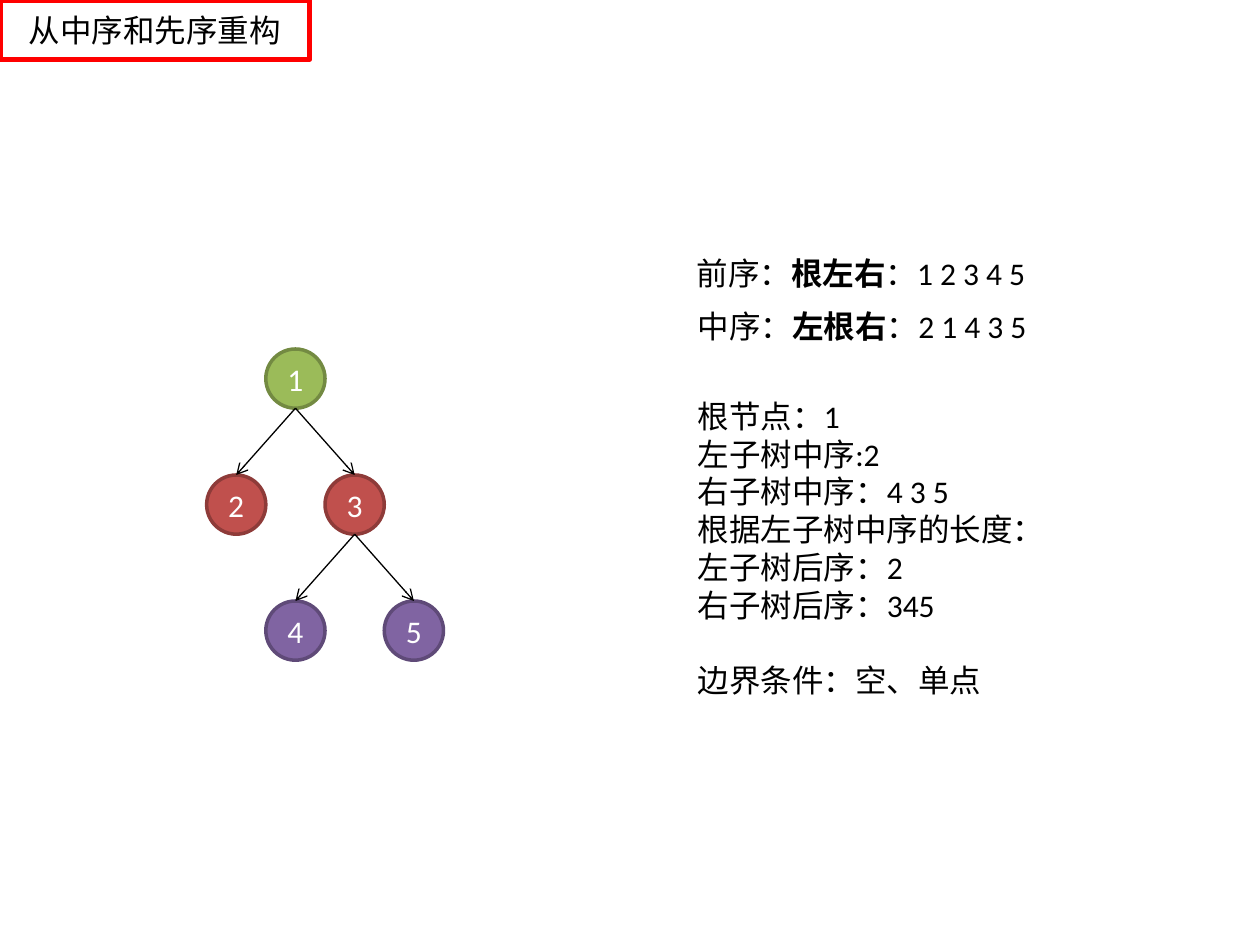
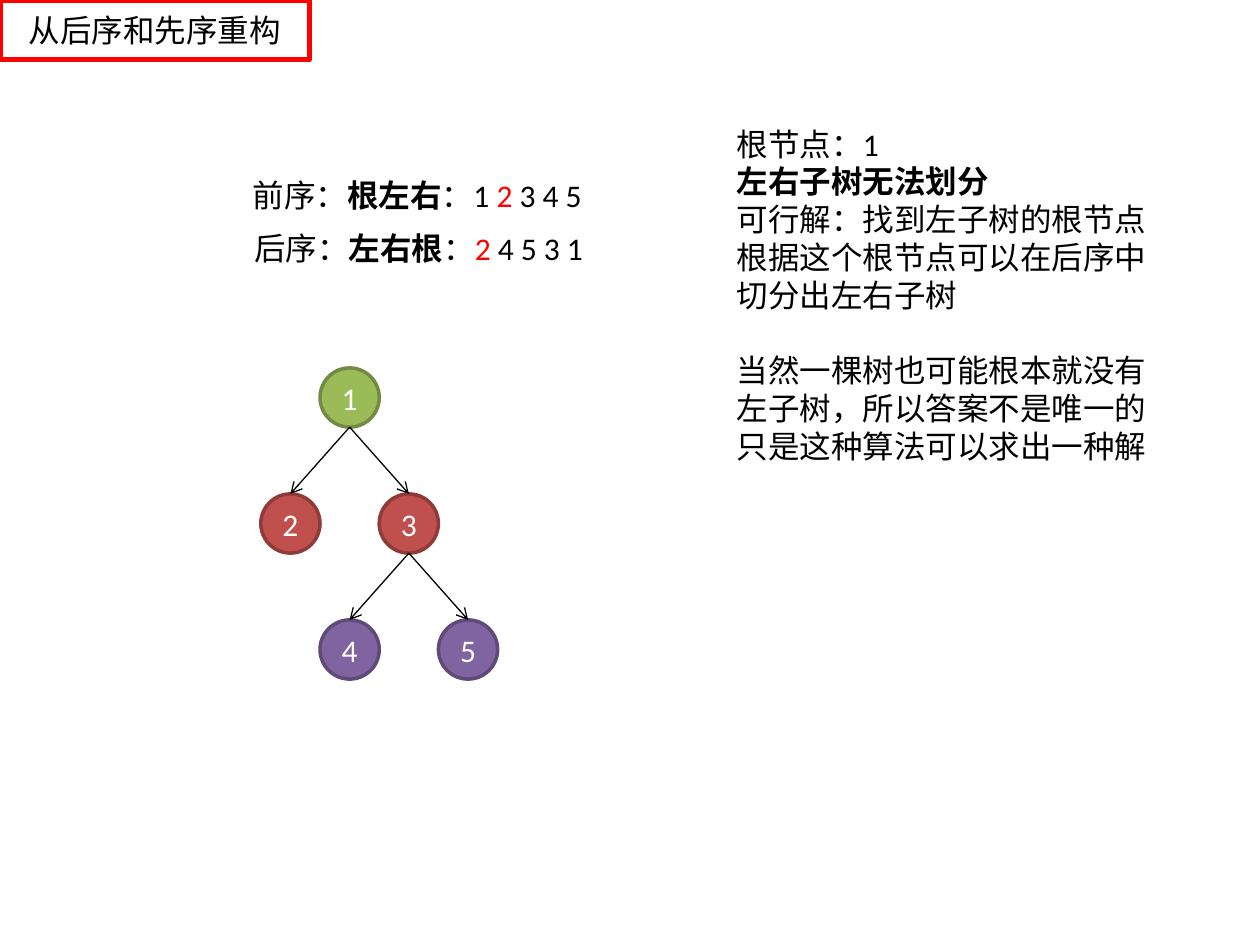
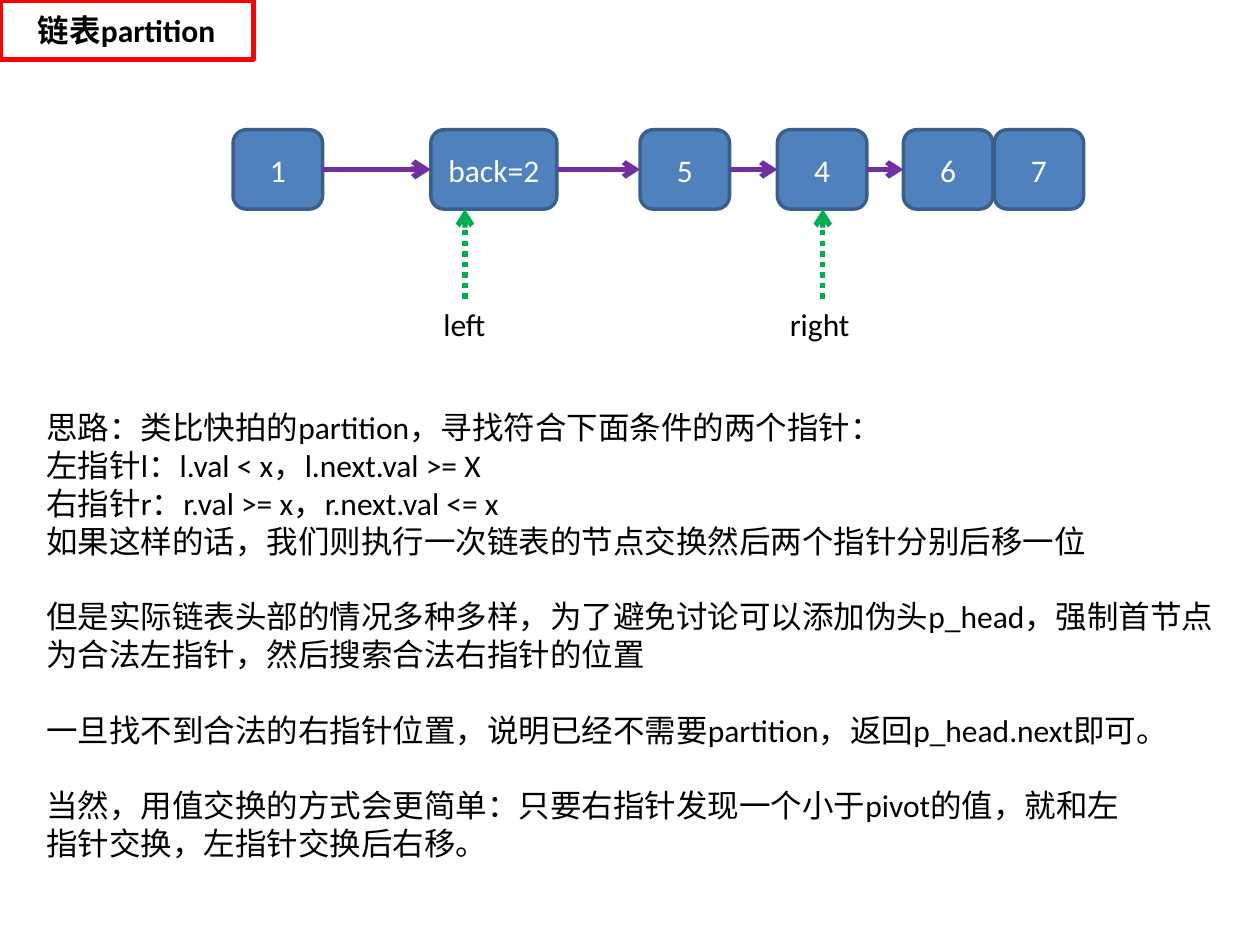
from itertools import pairwise
from pptx import Presentation
from pptx.dml.color import RGBColor
from pptx.enum.dml import MSO_LINE
from pptx.enum.shapes import MSO_CONNECTOR, MSO_SHAPE
from pptx.enum.text import MSO_ANCHOR, MSO_AUTO_SIZE, PP_ALIGN
from pptx.oxml import parse_xml
from pptx.oxml.ns import nsdecls, qn
from pptx.util import Inches, Pt

BLACK, WHITE, RED = "000000", "FFFFFF", "FF0000"
PURPLE, GREEN = "7030A0", "00B050"
LEVELS = [("9BBB59", "738A42"), ("C0504D", "8E3B39"), ("8064A2", "5F4A78")]
BLUE = ("4F81BD", "3A5F8C")
NODES = {1: (0, 0), 2: (-1, 1), 3: (1, 1), 4: (0, 2), 5: (2, 2)}
EDGES = [(1, 2), (1, 3), (3, 4), (3, 5)]


def paint(text):
    return RGBColor.from_string(text)


class Deck:
    """Holds the shared style and the slide being drawn."""

    font, size, gap = "Calibri", Pt(18), Pt(21.6)

    def __init__(self):
        self.file = Presentation()
        self.file.slide_width, self.file.slide_height = Inches(10), Inches(7.5)

    def start(self, title, width, bold=False):
        self.slide = self.file.slides.add_slide(self.file.slide_layouts[6])
        self.shape(MSO_SHAPE.RECTANGLE, (0, 0, width, 0.47), (WHITE, RED), title, 3, BLACK, bold)

    def run(self, para, text, bold=False, color=BLACK):
        run = para.add_run()
        run.text = text
        font = run.font
        font.name, font.size, font.bold = self.font, self.size, bold
        font.color.rgb = paint(color)

    def shape(self, kind, box, colors, text, line=2, ink=WHITE, bold=False):
        shape = self.slide.shapes.add_shape(kind, *map(Inches, box))
        shape.shadow.inherit = False
        shape.fill.solid()
        shape.fill.fore_color.rgb = paint(colors[0])
        shape.line.color.rgb = paint(colors[1])
        shape.line.width = Pt(line)
        frame = shape.text_frame
        frame.word_wrap = True
        frame.vertical_anchor = MSO_ANCHOR.MIDDLE
        para = frame.paragraphs[0]
        para.alignment = PP_ALIGN.CENTER
        self.run(para, text, bold, ink)

    def arrow(self, start, end, color=BLACK, width=0.75, dash=None, kind=MSO_CONNECTOR.STRAIGHT):
        link = self.slide.shapes.add_connector(kind, *map(Inches, (*start, *end)))
        link.line.color.rgb = paint(color)
        link.line.width = Pt(width)
        if dash:
            link.line.dash_style = dash
        form = link.element.spPr
        form.find(qn("a:ln")).append(parse_xml(f'<a:tailEnd {nsdecls("a")} type="arrow"/>'))
        form.append(parse_xml(f'<a:effectLst {nsdecls("a")}/>'))

    def text(self, box, *blocks, wrap=True):
        """Writes blocks of lines, where a line is a list of runs, with a gap between blocks."""
        frame = self.slide.shapes.add_textbox(*map(Inches, box)).text_frame
        frame.word_wrap = wrap
        frame.auto_size = MSO_AUTO_SIZE.SHAPE_TO_FIT_TEXT
        para = None
        for block in blocks:
            for row, line in enumerate(block):
                first = para is None
                para = frame.paragraphs[0] if first else frame.add_paragraph()
                if row == 0 and not first:
                    para.space_before = self.gap
                for part in [(line,)] if isinstance(line, str) else line:
                    self.run(para, *part)

    def order(self, left, top, name, rule, *parts):
        self.text((left, top, 2.87, 0.4), [[(name + "：",), (rule, True), *parts]])

    def tree(self, left, top, size=0.47, step=0.47, drop=1):
        spots = {n: (left + col * step, top + row * drop) for n, (col, row) in NODES.items()}
        for node, (x, y) in spots.items():
            self.shape(MSO_SHAPE.OVAL, (x, y, size, size), LEVELS[NODES[node][1]], str(node))
        for head, child in EDGES:
            (x, y), (u, v) = spots[head], spots[child]
            self.arrow((x + size / 2, y + size), (u + size / 2, v))

    def chain(self, top, high, cells):
        for label, left, width in cells:
            self.shape(MSO_SHAPE.ROUNDED_RECTANGLE, (left, top, width, high), BLUE, label)
        mid = top + high / 2
        for spot, (cell, after) in enumerate(pairwise(cells[:-1])):
            kind = MSO_CONNECTOR.STRAIGHT if spot else MSO_CONNECTOR.CURVE
            self.arrow((cell[1] + cell[2], mid), (after[1], mid), PURPLE, 3 if spot else 3.25, kind=kind)

    def mark(self, label, left, width, x):
        self.arrow((x, 2.37), (x, 1.66), GREEN, 3, MSO_LINE.ROUND_DOT)
        self.text((left, 2.37, width, 0.4), [label])


deck = Deck()

deck.start("从中序和先序重构", 2.46)
deck.tree(2.11, 2.77)
deck.order(5.43, 1.97, "前序", "根左右", ("：1 2 3 4 5",))
deck.order(5.44, 2.39, "中序", "左根右", ("：2 1 4 3 5",))
deck.text(
    (5.44, 3.1, 2.95, 2.52),
    ["根节点：1", "左子树中序:2", "右子树中序：4 3 5", "根据左子树中序的长度：", "左子树后序：2", "右子树后序：345"],
    ["边界条件：空、单点"],
    wrap=False,
)

deck.start("从后序和先序重构", 2.46)
deck.tree(2.54, 2.92)
deck.order(1.91, 1.35, "前序", "根左右", ("：1 ",), ("2", False, RED), (" 3 4 5",))
deck.order(1.92, 1.77, "后序", "左右根", ("：",), ("2", False, RED), (" 4 5 3 1",))
deck.text(
    (5.75, 0.94, 3.45, 2.83),
    ["根节点：1", [("左右子树无法划分", True)], "可行解：找到左子树的根节点", "根据这个根节点可以在后序中", "切分出左右子树"],
    ["当然一棵树也可能根本就没有", "左子树，所以答案不是唯一的", "只是这种算法可以求出一种解"],
    wrap=False,
)

deck.start("链表partition", 2.01, True)
deck.chain(1.03, 0.63, [
    ("1", 1.85, 0.71), ("back=2", 3.42, 1), ("5", 5.08, 0.71),
    ("4", 6.17, 0.71), ("6", 7.17, 0.71), ("7", 7.89, 0.71),
])
deck.mark("left", 3.42, 0.65, 3.69)
deck.mark("right", 6.17, 0.87, 6.53)
deck.text(
    (0.27, 3.19, 9.46, 4.04),
    [
        "思路：类比快拍的partition，寻找符合下面条件的两个指针：",
        "左指针l：l.val < x，l.next.val >= X",
        "右指针r：r.val >= x，r.next.val <= x",
        "如果这样的话，我们则执行一次链表的节点交换然后两个指针分别后移一位",
    ],
    [
        "但是实际链表头部的情况多种多样，为了避免讨论可以添加伪头p_head，强制首节点",
        "为合法左指针，然后搜索合法右指针的位置",
    ],
    ["一旦找不到合法的右指针位置，说明已经不需要partition，返回p_head.next即可。"],
    [
        "当然，用值交换的方式会更简单：只要右指针发现一个小于pivot的值，就和左",
        "指针交换，左指针交换后右移。",
    ],
)

deck.file.save("out.pptx")
